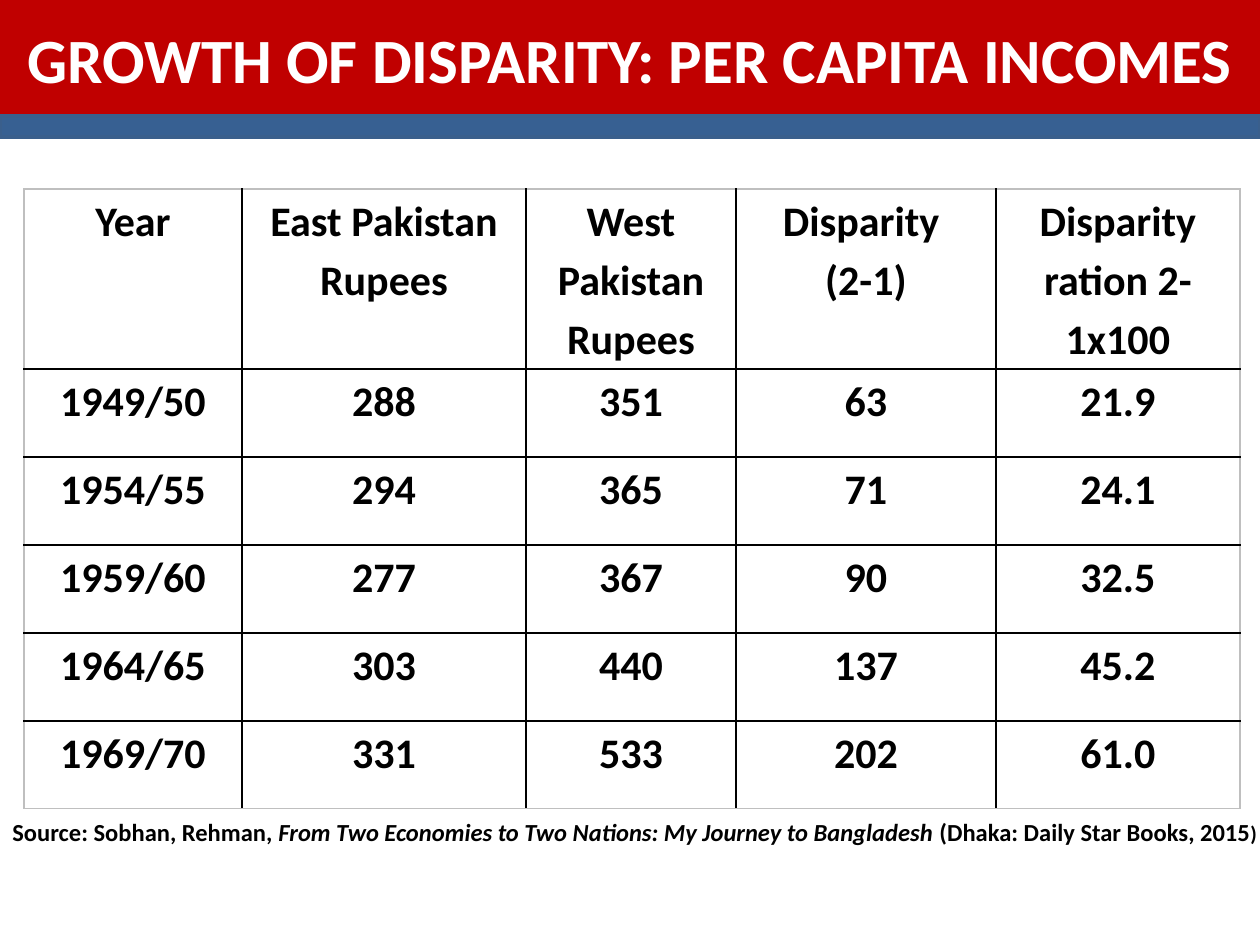
"""Build a slide with a table of per capita incomes in East and West Pakistan."""
from lxml import etree
from pptx import Presentation
from pptx import util as u
from pptx.dml.color import RGBColor
from pptx.enum import shapes, text
from pptx.oxml import ns

PX = u.Inches(1) / 126
RED = RGBColor(0xC0, 0x00, 0x00)
BLUE = RGBColor(0x37, 0x60, 0x92)
EDGE_BLUE = RGBColor(0x3A, 0x5F, 0x8C)
WHITE = RGBColor(0xFF, 0xFF, 0xFF)
BLACK = RGBColor(0x00, 0x00, 0x00)
GRAY = RGBColor(0xBF, 0xBF, 0xBF)

ROWS = [
    ["Year", "East Pakistan\nRupees", "West Pakistan\nRupees",
     "Disparity \n(2-1)", "Disparity ration 2-1x100"],
    ["1949/50", "288", "351", "63", "21.9"],
    ["1954/55", "294", "365", "71", "24.1"],
    ["1959/60", "277", "367", "90", "32.5"],
    ["1964/65", "303", "440", "137", "45.2"],
    ["1969/70", "331", "533", "202", "61.0"],
]
COLUMN_WIDTHS = [218, 284, 210, 260, 244]
ROW_HEIGHTS = [180] + [88] * 5
SOURCE = [
    ("Source: Sobhan, Rehman, ", 14, False),
    ("From Two Economies to Two Nations: My Journey to Bangladesh ", 14, True),
    ("(Dhaka: Daily Star Books, 2015", 14, False),
    (")", 12, False),
]


def px(*lengths):
    return [u.Emu(round(length * PX)) for length in lengths]


def style_font(font, size, color, **extra):
    values = {"name": "Calibri", "size": u.Pt(size), "bold": True, **extra}
    for name, value in values.items():
        setattr(font, name, value)
    font.color.rgb = color


presentation = Presentation()
presentation.slide_width, presentation.slide_height = px(1260, 945)
slide = presentation.slides.add_slide(presentation.slide_layouts[6])

bars = []
for top, height, color in [(0, 116, RED), (116, 21, BLUE)]:
    bar = slide.shapes.add_shape(
        shapes.MSO_SHAPE.RECTANGLE, *px(0, top, 1260, height))
    bar.shadow.inherit = False
    bar.fill.solid()
    bar.fill.fore_color.rgb = color
    bars.append(bar)
title_bar, accent_bar = bars
title_bar.line.fill.background()
accent_bar.line.color.rgb = EDGE_BLUE
accent_bar.line.width = u.Pt(2)

title_frame = title_bar.text_frame
title_frame.word_wrap = True
title_frame.vertical_anchor = text.MSO_ANCHOR.MIDDLE
title = title_frame.paragraphs[0]
title.text = "GROWTH OF DISPARITY: PER CAPITA INCOMES"
title.alignment = text.PP_ALIGN.CENTER
style_font(title.font, 36, WHITE)

table = slide.shapes.add_table(
    len(ROWS), len(COLUMN_WIDTHS),
    *px(24, 189, sum(COLUMN_WIDTHS), sum(ROW_HEIGHTS))).table
table.first_row = table.horz_banding = False
for column, width in zip(table.columns, px(*COLUMN_WIDTHS)):
    column.width = width
for row, height in zip(table.rows, px(*ROW_HEIGHTS)):
    row.height = height

last_row, last_column = len(ROWS) - 1, len(COLUMN_WIDTHS) - 1
for row_index, row in enumerate(ROWS):
    for column_index, words in enumerate(row):
        cell = table.cell(row_index, column_index)
        cell.text = words
        cell.fill.background()
        cell.margin_left = cell.margin_right = u.Inches(0.07)
        cell.margin_top = cell.margin_bottom = 0
        for paragraph in cell.text_frame.paragraphs:
            paragraph.alignment = text.PP_ALIGN.CENTER
            paragraph.line_spacing = 1.15
            style_font(paragraph.font, 24, BLACK)
        outer_sides = {
            "L": column_index == 0, "R": column_index == last_column,
            "T": row_index == 0, "B": row_index == last_row,
        }
        properties = cell._tc.get_or_add_tcPr()
        for position, (side, outer) in enumerate(outer_sides.items()):
            border = etree.Element(ns.qn(f"a:ln{side}"), w=str(u.Pt(1)))
            fill = etree.SubElement(border, ns.qn("a:solidFill"))
            etree.SubElement(
                fill, ns.qn("a:srgbClr"), val=str(GRAY if outer else BLACK))
            properties.insert(position, border)

source_box = slide.shapes.add_textbox(*px(0, 811, 1278, 43))
source_box.text_frame.word_wrap = False
source_box.text_frame.auto_size = text.MSO_AUTO_SIZE.SHAPE_TO_FIT_TEXT
for words, size, italic in SOURCE:
    run = source_box.text_frame.paragraphs[0].add_run()
    run.text = words
    style_font(run.font, size, BLACK, italic=italic)

presentation.save("out.pptx")
